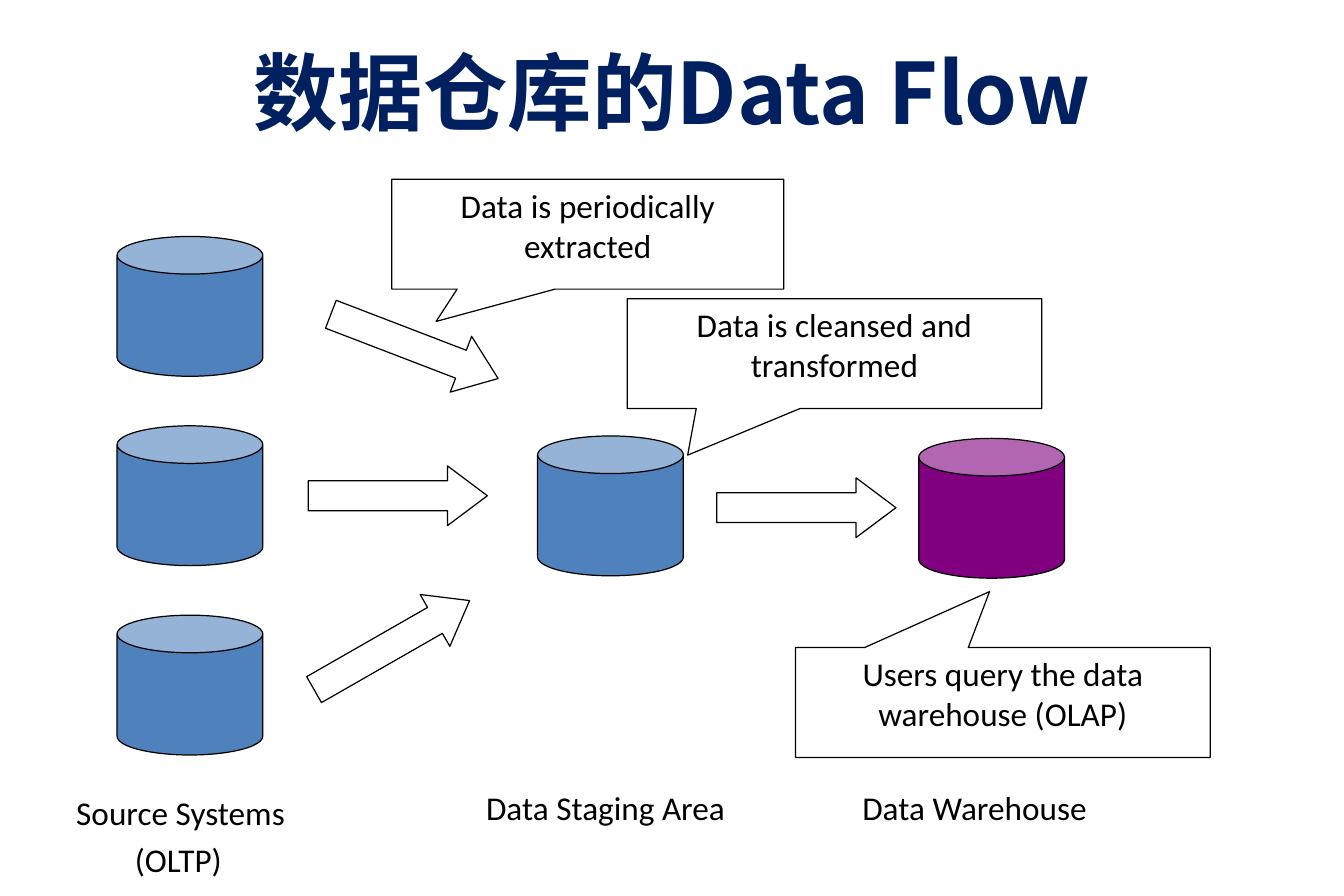
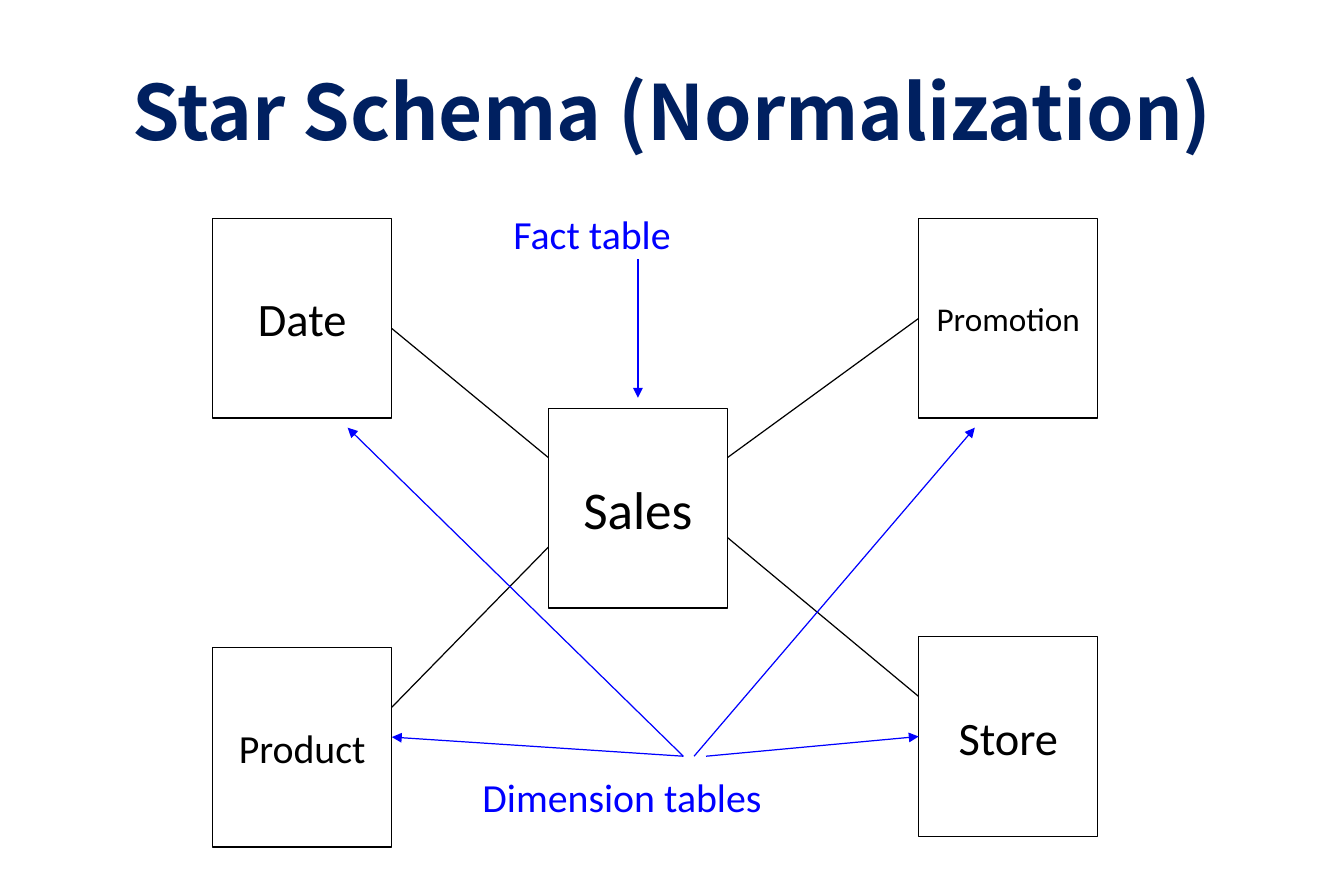
from dataclasses import dataclass
from lxml import etree
from pptx import Presentation
from pptx.dml.color import RGBColor as RGB
from pptx.enum.shapes import MSO_CONNECTOR as CXN, MSO_SHAPE as SHAPE
from pptx.enum.text import MSO_ANCHOR as ANCHOR, MSO_AUTO_SIZE as FIT, PP_ALIGN as ALIGN
from pptx.oxml.ns import qn
from pptx.util import Inches, Pt


@dataclass(frozen=True)
class Theme:
    navy: str = "002060"
    blue: str = "4F81BD"
    purple: str = "800080"
    ink: str = "000000"
    accent: str = "0000FF"
    title_font: str = "Noto Sans CJK SC"
    body_font: str = "Calibri"
    note: float = 20
    label: float = 24
    line: float = 0.75


T = Theme()
W, H = 11.25, 7.5

# Data flow content: positions in inches
CAN_SIZE, ARROW_SIZE = (1.22, 1.17), (1.5, 0.5)
SOURCE_X, SOURCE_Y, SOURCE_STEP = 0.98, 1.98, 1.585
CANS = [(SOURCE_X, SOURCE_Y + i * SOURCE_STEP, T.blue) for i in range(3)]
CANS += [(4.5, 3.65, T.blue), (7.69, 3.67, T.purple)]
FLOWS = [(2.72, 2.65, 21), (2.58, 3.9, 0), (2.53, 5.15, 330.2), (6, 4, 0)]
STAGES = [
    ("Source Systems", 0.54, 6.58, 1.97),
    ("Data Staging Area", 3.97, 6.54, 2.22),
    ("Data Warehouse", 7.12, 6.54, 2.1),
    ("(OLTP)", 1.03, 6.98, 0.94),
]
# text, left, top, width, pointer offset
CALLOUTS = [
    ("Data is periodically extracted", 3.28, 1.5, 3.28, (-0.387, 0.794)),
    ("Data is cleansed and transformed", 5.25, 2.5, 3.47, (-0.354, 0.924)),
    ("Users query the data warehouse (OLAP)", 6.66, 5.42, 3.47, (-0.032, -1.009)),
]

# Star schema content
TABLE_SIZE = (1.5, 1.67)
LEFT_X, MID_X, RIGHT_X = 1.78, 4.59, 7.69
LEFT_EDGE, MID_EDGE = LEFT_X + TABLE_SIZE[0], MID_X + TABLE_SIZE[0]
TABLES = [
    ("Sales", MID_X, 3.42, 32),
    ("Date", LEFT_X, 1.83, 28),
    ("Product", LEFT_X, 5.42, 24),
    ("Store", RIGHT_X, 5.33, 28),
    ("Promotion", RIGHT_X, 1.83, 20),
]
# start, end, table joined at the middle of its left side
RELATIONS = [
    ((LEFT_EDGE, 2.75), (MID_X, 3.83), None),
    ((LEFT_EDGE, 5.92), (MID_X, 4.58), None),
    ((MID_EDGE, 3.83), (RIGHT_X, 2.67), "Promotion"),
    ((MID_EDGE, 4.5), (RIGHT_X, 5.83), None),
]
# label, left, top, width, pointers
LEGENDS = [
    ("Fact table", 4.2, 1.71, 1.53, [((5.34, 2.17), (5.34, 3.33), None)]),
    ("Dimension tables", 3.94, 6.42, 2.56, [
        ((5.72, 6.33), (LEFT_EDGE, 6.17), None),
        ((5.72, 6.33), (2.91, 3.58), None),
        ((5.81, 6.33), (8.16, 3.58), None),
        ((5.91, 6.33), (RIGHT_X, 6.17), "Store"),
    ]),
]


def write(tf, text, size, color=T.ink, align=ALIGN.LEFT, font=T.body_font, bold=False):
    p = tf.paragraphs[0]
    p.alignment = align
    p.add_run().text = text
    f = p.font
    f.size, f.name, f.bold = Pt(size), font, bold
    f.color.rgb = RGB.from_string(color)
    return p


def add_titled_slide(prs, title, top, size):
    s = prs.slides.add_slide(prs.slide_layouts[5])
    sp = s.shapes.title
    width = W * 0.9
    sp.left, sp.top, sp.width, sp.height = map(Inches, ((W - width) / 2, top, width, H / 6))
    tf = sp.text_frame
    tf.auto_size, tf.word_wrap, tf.vertical_anchor = FIT.NONE, True, ANCHOR.MIDDLE
    tf.margin_left = tf.margin_right = Inches(0.12)
    tf.margin_top = tf.margin_bottom = Inches(0.06)
    p = write(tf, title, size, T.navy, ALIGN.CENTER, T.title_font, True)
    # East Asian glyphs take their typeface from the run
    ea = etree.SubElement(p.runs[0].font._element, qn("a:ea"))
    ea.set("typeface", T.title_font)
    return s


def add_outlined(shapes, kind, x, y, size, adj=(), fill=None):
    sp = shapes.add_shape(kind, *map(Inches, (x, y, *size)))
    sp.shadow.inherit = False
    if fill:
        sp.fill.solid()
        sp.fill.fore_color.rgb = RGB.from_string(fill)
    else:
        sp.fill.background()
    sp.line.color.rgb = RGB.from_string(T.ink)
    sp.line.width = Pt(T.line)
    for i, value in enumerate(adj):
        sp.adjustments[i] = value
    return sp


def add_label(shapes, text, x, y, width, size, color=T.ink):
    height = 0.44 if size == T.note else 0.51
    tf = shapes.add_textbox(*map(Inches, (x, y, width, height))).text_frame
    tf.word_wrap, tf.auto_size = False, FIT.SHAPE_TO_FIT_TEXT
    write(tf, text, size, color)


def add_line(shapes, start, end, target=None, color=T.ink, arrow=False):
    c = shapes.add_connector(CXN.STRAIGHT, *map(Inches, (*start, *end)))
    if target is not None:
        c.end_connect(target, 1)
    c.line.color.rgb = RGB.from_string(color)
    c.line.width = Pt(T.line)
    if arrow:
        etree.SubElement(c.line._get_or_add_ln(), qn("a:tailEnd"), type="triangle")
    etree.SubElement(c._element.spPr, qn("a:effectLst"))


def build_data_flow(prs):
    s = add_titled_slide(prs, "数据仓库的Data Flow", 0.13, 51)
    # Databases and the flows between them
    for x, y, fill in CANS:
        add_outlined(s.shapes, SHAPE.CAN, x, y, CAN_SIZE, (0.269,), fill)
    for x, y, angle in FLOWS:
        sp = add_outlined(s.shapes, SHAPE.RIGHT_ARROW, x, y, ARROW_SIZE, (0.5, 0.667))
        sp.rotation = angle
    # Stage names and explanations
    for text, x, y, width in STAGES:
        add_label(s.shapes, text, x, y, width, T.note)
    for text, x, y, width, pointer in CALLOUTS:
        sp = add_outlined(s.shapes, SHAPE.RECTANGULAR_CALLOUT, x, y, (width, 0.92), pointer)
        tf = sp.text_frame
        tf.word_wrap, tf.vertical_anchor = True, ANCHOR.TOP
        write(tf, text, T.note, align=ALIGN.CENTER)


def build_star_schema(prs):
    s = add_titled_slide(prs, "Star Schema (Normalization)", 0.3, 45.9)
    # Tables and their relations
    tables = {}
    for name, x, y, size in TABLES:
        sp = tables[name] = add_outlined(s.shapes, SHAPE.RECTANGLE, x, y, TABLE_SIZE)
        tf = sp.text_frame
        tf.word_wrap, tf.vertical_anchor = False, ANCHOR.MIDDLE
        write(tf, name, size, align=ALIGN.CENTER)
    for start, end, target in RELATIONS:
        add_line(s.shapes, start, end, tables.get(target))
    # Legends, each grouped with its pointers
    for text, x, y, width, pointers in LEGENDS:
        group = s.shapes.add_group_shape()
        add_label(group.shapes, text, x, y, width, T.label, T.accent)
        for start, end, target in pointers:
            add_line(group.shapes, start, end, tables.get(target), T.accent, True)


def main():
    prs = Presentation()
    prs.slide_width, prs.slide_height = Inches(W), Inches(H)
    build_data_flow(prs)
    build_star_schema(prs)
    prs.save("out.pptx")


if __name__ == "__main__":
    main()
